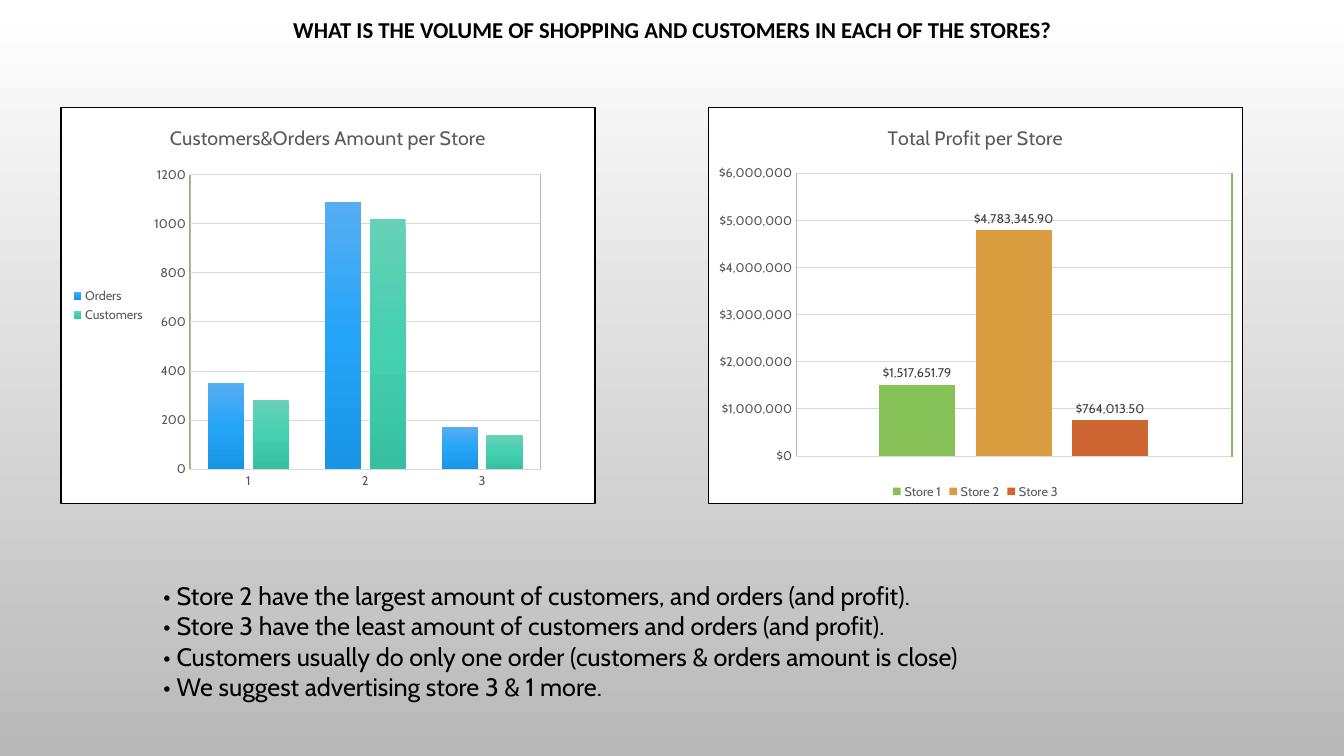
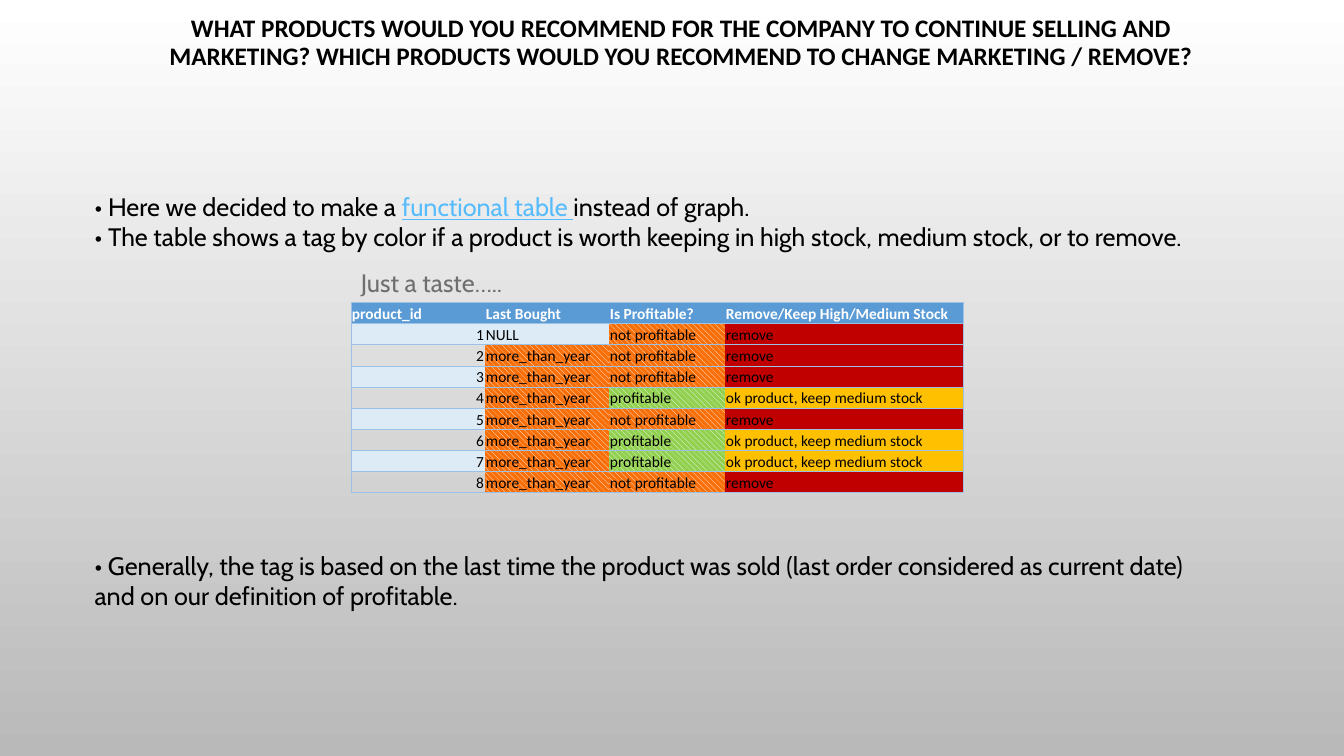
from lxml import etree
from pptx import Presentation
from pptx.chart import data as cd
from pptx.dml.color import RGBColor
from pptx.enum import chart as ce, dml, shapes, text
from pptx.oxml import parse_xml
from pptx.oxml.ns import nsdecls, qn
from pptx.util import Inches, Pt

BLACK, WHITE, GREY, GRID = "000000", "FFFFFF", "595959", "D9D9D9"
GREEN, EDGE, ORANGE, LIME = "86C157", "9BC2E6", "F86F08", "92D050"
BACK = [(0, WHITE), (100, "B9B9B9")]
BLANK = "{2D5ABB26-0587-4C30-8999-92F81FD0307C}"

TITLES = [
    ("WHAT IS THE VOLUME OF SHOPPING AND CUSTOMERS IN EACH OF THE STORES?",
     (1, 0.16, 11.33, 0.83), 16.2),
    ("WHAT PRODUCTS WOULD YOU RECOMMEND FOR THE COMPANY TO CONTINUE SELLING AND "
     "MARKETING? WHICH PRODUCTS WOULD YOU RECOMMEND TO CHANGE MARKETING / REMOVE?",
     (1.09, 0.13, 11.33, 1.21), 18),
]
CHARTS = [
    dict(title="Customers&Orders Amount per Store", left=0.6, cats=["1", "2", "3"],
         gap=100, lap=-24, top=1200, step=200, form="General", legend="LEFT",
         plot=(0.241, 0.17, 0.657, 0.744), line=GREEN, labels=None,
         series=[("Orders", [350, 1090, 170],
                  [(0, "56ADF2"), (50, "25A5F8"), (100, "1895E5")]),
                 ("Customers", [280, 1020, 140],
                  [(0, "66D1B6"), (50, "45D0B0"), (100, "36C0A1")])]),
    dict(title="Total Profit per Store", left=7.02, cats=["1"],
         gap=219, lap=-27, top=6000000, step=1000000, form="[$$-409]#,##0",
         legend="BOTTOM", plot=(0.164, 0.166, 0.815, 0.715), line="B3B3B3",
         labels="[$$-409]#,##0.00",
         series=[("Store 1", [1517651.79], GREEN),
                 ("Store 2", [4783345.9], "D99C3F"),
                 ("Store 3", [764013.5], "CE6633")]),
]
STORES = [
    "• Store 2 have the largest amount of customers, and orders (and profit).",
    "• Store 3 have the least amount of customers and orders (and profit).",
    "• Customers usually do only one order (customers & orders amount is close)",
    "• We suggest advertising store 3 & 1 more.",
]
INTRO = [
    ["• Here we decided to make a ", "functional table ", "instead of graph."],
    "• The table shows a tag by color if a product is worth keeping in high stock, "
    "medium stock, or to remove.",
]
TASTE = ["Just a taste….."]
RULE = ["• Generally, the tag is based on the last time the product was sold (last order "
        "considered as current date) and on our definition of profitable."]
HEAD = ["product_id", "Last Bought", "Is Profitable?", "Remove/Keep High/Medium Stock"]
WIDTHS = [1.33, 1.23, 1.15, 2.36]
ROW = 0.21
GAINS = [False, False, False, True, False, True, True, False]
KEEP = {True: ("profitable", "ok product, keep medium stock"),
        False: ("not profitable", "remove")}
HATCH = {"more_than_year": ORANGE, "not profitable": ORANGE, "profitable": LIME}
SOLID = {"remove": "C00000", "ok product, keep medium stock": "FFC000"}


def rgb(code):
    """Turn a hex string into a colour."""
    return RGBColor.from_string(code)


def style(font, size, color, name="Cabin", bold=False):
    """Set the look of a font."""
    font.size, font.name, font.bold = Pt(size), name, bold
    font.color.rgb = rgb(color)


def grad(fill, root, stops):
    """Give a fill a downward gradient with any number of stops."""
    fill.gradient()
    old = root.find(".//" + qn("a:gradFill"))
    marks = "".join(f'<a:gs pos="{pos * 1000}"><a:srgbClr val="{code}"/></a:gs>'
                    for pos, code in stops)
    new = parse_xml(f'<a:gradFill {nsdecls("a")} rotWithShape="1"><a:gsLst>{marks}</a:gsLst>'
                    '<a:lin ang="5400000" scaled="0"/></a:gradFill>')
    old.getparent().replace(old, new)


def page(deck, title, box, size):
    """Add a slide with the shared background and title."""
    slide = deck.slides.add_slide(deck.slide_layouts[6])
    grad(slide.background.fill, slide._element, BACK)
    frame = write(slide, box, [title], size, "Calibri", True)
    frame.margin_top = Inches(0.03)
    para = frame.paragraphs[0]
    para.alignment, para.line_spacing = text.PP_ALIGN.CENTER, 0.9
    return slide


def write(slide, box, lines, size=18, name="Cabin", bold=False):
    """Add a text box with one paragraph per line."""
    frame = slide.shapes.add_textbox(*map(Inches, box)).text_frame
    frame.word_wrap = True
    for i, line in enumerate(lines):
        para = frame.add_paragraph() if i else frame.paragraphs[0]
        style(para.font, size, BLACK, name, bold)
        for part in [line] if isinstance(line, str) else line:
            para.add_run().text = part
    return frame


def panel(fill, line, width):
    """Build the shape properties of a chart area."""
    paint = f'<a:solidFill><a:srgbClr val="{fill}"/></a:solidFill>' if fill else "<a:noFill/>"
    return parse_xml(f'<c:spPr {nsdecls("c", "a")}>{paint}<a:ln w="{Pt(width)}"><a:solidFill>'
                     f'<a:srgbClr val="{line}"/></a:solidFill></a:ln></c:spPr>')


def place(area, plot):
    """Fix the inner plot area as shares of the chart."""
    for old in area.findall(qn("c:layout")):
        area.remove(old)
    marks = "".join(f'<c:{tag} val="{val}"/>' for tag, val in
                    zip(("xMode", "yMode", "x", "y", "w", "h"), ("edge", "edge", *plot)))
    area.insert(0, parse_xml(f'<c:layout {nsdecls("c")}><c:manualLayout>'
                             f'<c:layoutTarget val="inner"/>{marks}</c:manualLayout></c:layout>'))


def graph(slide, item):
    """Add one framed column chart."""
    data = cd.CategoryChartData()
    data.categories = item["cats"]
    for name, vals, _ in item["series"]:
        data.add_series(name, vals)
    box = map(Inches, (item["left"], 1.06, 5.31, 3.94))
    chart = slide.shapes.add_chart(ce.XL_CHART_TYPE.COLUMN_CLUSTERED, *box, data).chart
    style(chart.font, 10, BLACK)
    chart.has_title = True
    head = chart.chart_title.text_frame
    head.text = item["title"]
    style(head.paragraphs[0].font, 14, GREY)
    chart.has_legend = True
    chart.legend.position = ce.XL_LEGEND_POSITION[item["legend"]]
    chart.legend.include_in_layout = False
    style(chart.legend.font, 9, GREY)

    cat, val = chart.category_axis, chart.value_axis
    for axis in (cat, val):
        axis.major_tick_mark = ce.XL_TICK_MARK.NONE
        style(axis.tick_labels.font, 9, GREY)
    cat.format.line.color.rgb = rgb(GRID)
    cat.visible = len(item["cats"]) > 1
    val.minimum_scale, val.maximum_scale, val.major_unit = 0, item["top"], item["step"]
    val.tick_labels.number_format = item["form"]
    val.tick_labels.number_format_is_linked = False
    val.format.line.color.rgb = rgb(item["line"])
    val.major_gridlines.format.line.color.rgb = rgb(GRID)
    val.major_gridlines.format.line.width = Pt(0.75)

    bars = chart.plots[0]
    bars.gap_width, bars.overlap, bars.vary_by_categories = item["gap"], item["lap"], False
    for ser, (_, _, look) in zip(bars.series, item["series"]):
        if isinstance(look, str):
            ser.format.fill.solid()
            ser.format.fill.fore_color.rgb = rgb(look)
        else:
            grad(ser.format.fill, ser._element, look)
        if item["labels"]:
            tags = ser.data_labels
            tags.show_value, tags.position = True, ce.XL_LABEL_POSITION.OUTSIDE_END
            tags.number_format, tags.number_format_is_linked = item["labels"], False
            style(tags.font, 9, "404040")

    root = chart._chartSpace
    area = root.find(".//" + qn("c:plotArea"))
    place(area, item["plot"])
    area.append(panel(None, "B3B3B3", 0.5))
    root.find(qn("c:chart")).addnext(panel(WHITE, BLACK, 1))


def rule(slide, color, *ends):
    """Add a straight line without a shadow."""
    line = slide.shapes.add_connector(shapes.MSO_CONNECTOR.STRAIGHT, *map(Inches, ends))
    line.line.color.rgb, line.line.width = rgb(color), Pt(1.5)
    etree.SubElement(line._element.spPr, qn("a:effectLst"))


def border(cell, sides):
    """Draw thin lines on the given sides of a cell."""
    props = cell._tc.get_or_add_tcPr()
    for i, side in enumerate(sides):
        props.insert(i, parse_xml(
            f'<a:ln{side} {nsdecls("a")} w="{Pt(0.5)}"><a:solidFill>'
            f'<a:srgbClr val="{EDGE}"/></a:solidFill></a:ln{side}>'))


def paint(fill, word, band):
    """Fill a cell by its word, or else by its row band."""
    if word in HATCH:
        fill.patterned()
        fill.pattern = dml.MSO_PATTERN.DOWNWARD_DIAGONAL
        fill.fore_color.rgb, fill.back_color.rgb = rgb(WHITE), rgb(HATCH[word])
    elif word in SOLID or band:
        fill.solid()
        fill.fore_color.rgb = rgb(SOLID.get(word, band))
    else:
        fill.background()


def grid(slide):
    """Add the table of product tags."""
    rows = [HEAD] + [[str(i), "more_than_year" if i > 1 else "NULL", *KEEP[gain]]
                     for i, gain in enumerate(GAINS, 1)]
    box = map(Inches, (3.48, 3, sum(WIDTHS), ROW * len(rows)))
    table = slide.shapes.add_table(len(rows), len(HEAD), *box).table
    table.first_row = table.horz_banding = False
    table._tbl.tblPr.find(qn("a:tableStyleId")).text = BLANK
    for col, width in zip(table.columns, WIDTHS):
        col.width = Inches(width)
    for r, row in enumerate(rows):
        table.rows[r].height = Inches(ROW)
        band = "5B9BD5" if r == 0 else "DDEBF7" if r % 2 else None
        for c, word in enumerate(row):
            cell = table.cell(r, c)
            cell.margin_left = cell.margin_right = cell.margin_top = Inches(0.01)
            cell.margin_bottom = 0
            cell.vertical_anchor = text.MSO_ANCHOR.BOTTOM
            cell.text = word
            para = cell.text_frame.paragraphs[0]
            style(para.font, 11, BLACK if r else WHITE, "Calibri", r == 0)
            if r and c == 0:
                para.alignment = text.PP_ALIGN.RIGHT
            paint(cell.fill, word, band)
            border(cell, {0: "LTB", len(HEAD) - 1: "RTB"}.get(c, "TB"))


def main():
    """Build and save the two slides."""
    deck = Presentation()
    deck.slide_width, deck.slide_height = Inches(13.33), Inches(7.5)
    stores, goods = [page(deck, *title) for title in TITLES]

    for item in CHARTS:
        graph(stores, item)
    rule(stores, GREEN, 12.22, 1.72, 12.22, 4.53)
    write(stores, (1.52, 5.71, 10.42, 1.31), STORES)

    intro = write(goods, (0.84, 1.85, 11.69, 1.01), INTRO)
    link = intro.paragraphs[0].runs[1].font
    link.color.rgb, link.underline = rgb("56BCFE"), True
    grid(goods)
    taste = write(goods, (3.48, 2.6, 1.86, 0.4), TASTE)
    tint = taste._txBody.find(".//" + qn("a:srgbClr"))
    etree.SubElement(tint, qn("a:alpha")).set("val", "51000")
    write(goods, (0.84, 5.41, 11.33, 0.71), RULE)
    deck.save("out.pptx")


if __name__ == "__main__":
    main()
